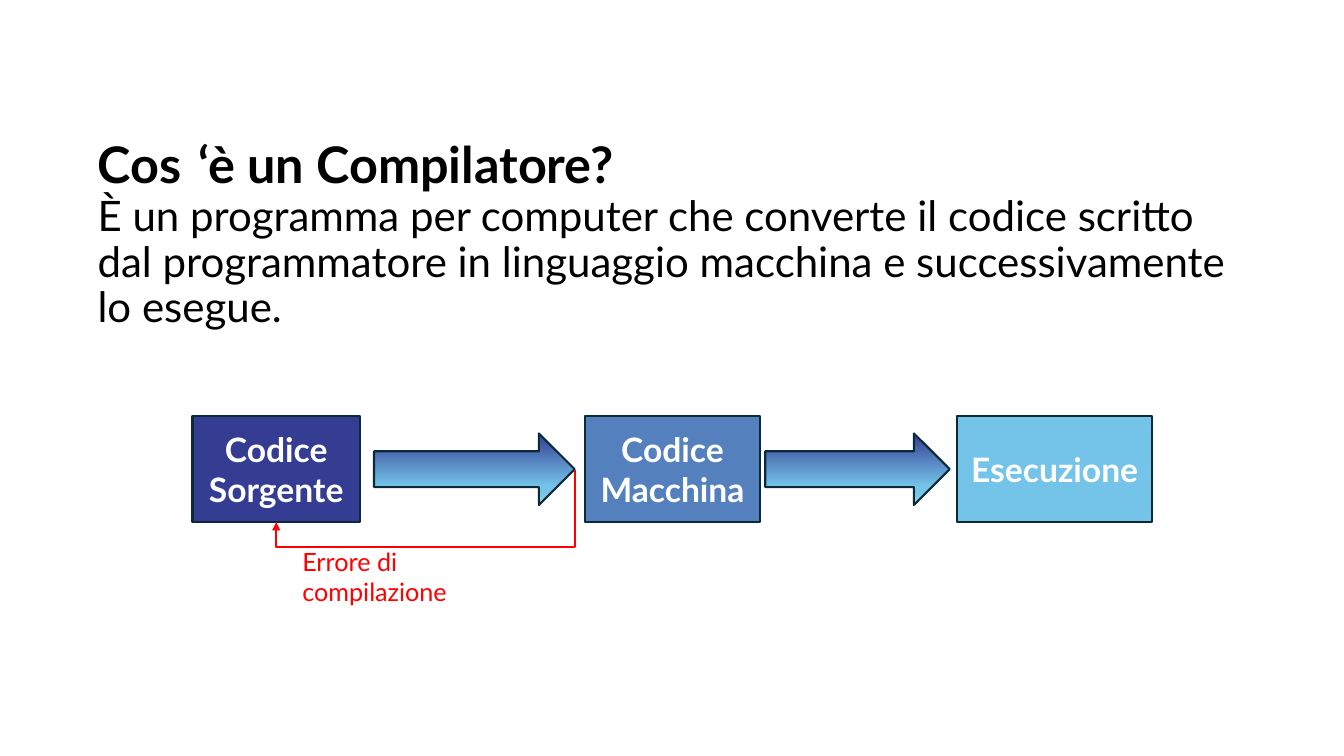
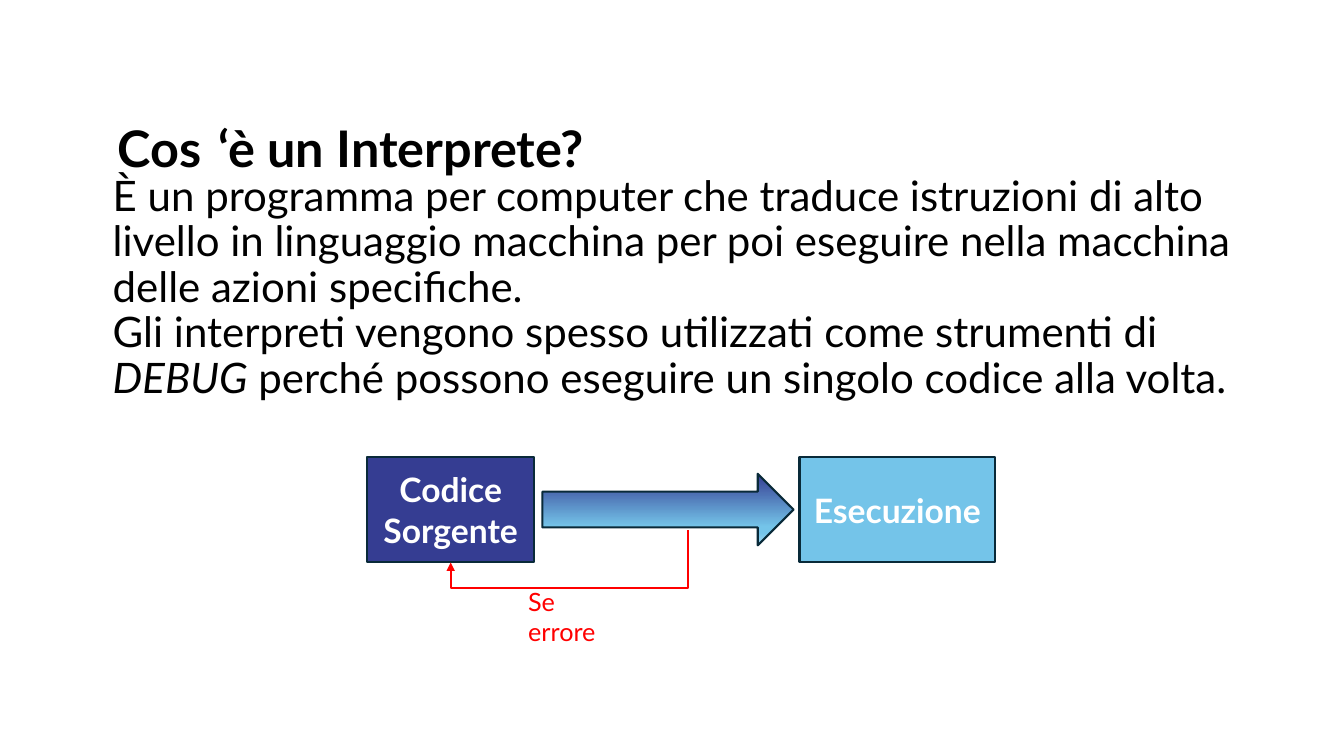
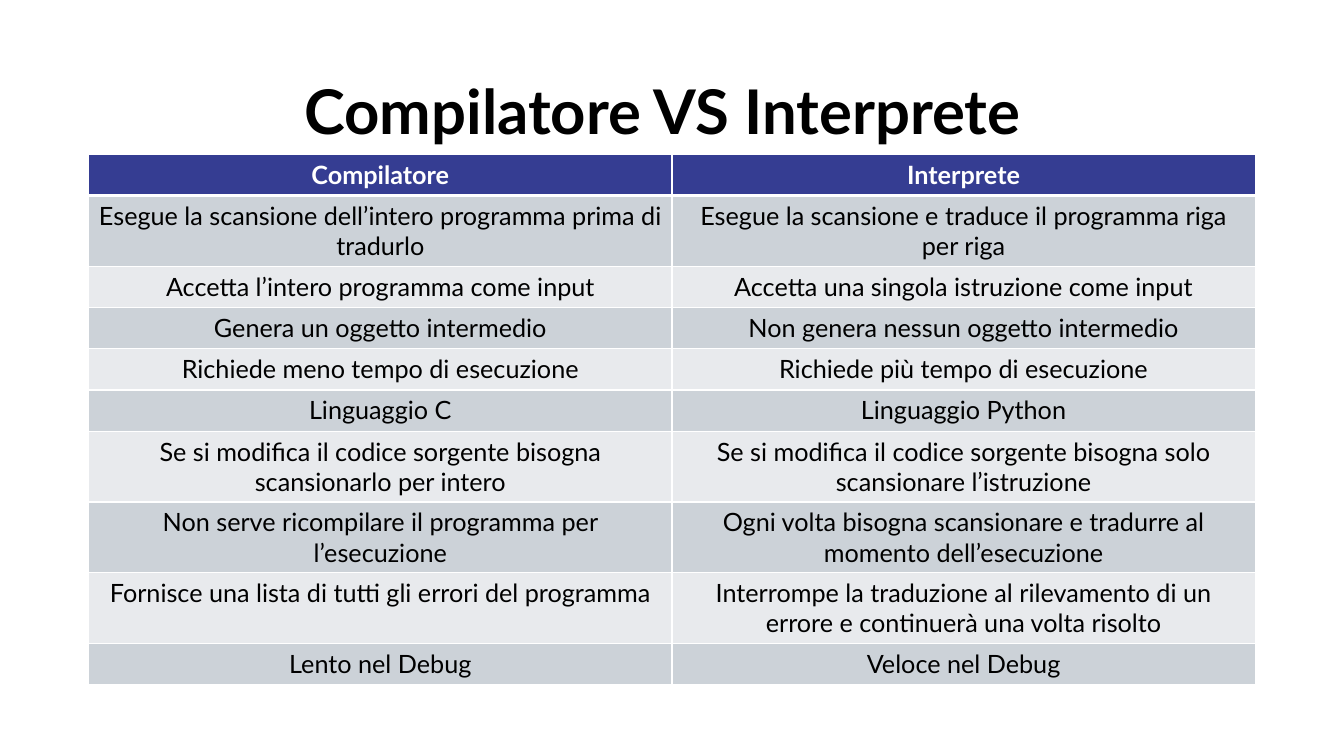
from dataclasses import dataclass

from lxml.etree import SubElement
from pptx import Presentation
from pptx.dml.color import RGBColor
from pptx.enum.shapes import MSO_CONNECTOR, MSO_SHAPE
from pptx.enum.text import MSO_ANCHOR, PP_ALIGN
from pptx.oxml import parse_xml
from pptx.oxml.ns import nsdecls, qn
from pptx.util import Inches, Pt


@dataclass(frozen=True)
class Theme:
    font: str = "Lato"
    black: str = "000000"
    white: str = "FFFFFF"
    navy: str = "353D92"
    blue: str = "5480BE"
    sky: str = "74C4E9"
    pale: str = "A2D8F0"
    outline: str = "092A39"
    red: str = "FF0000"
    band_dark: str = "CCD2D8"
    band_light: str = "E8EAED"
    big_title: int = 44
    title: int = 36
    body: int = 30
    box: int = 24
    small: int = 18
    line: float = 1.5


T = Theme()


def style_text(tf, size, color, bold=False, align=PP_ALIGN.LEFT, spacing=None):
    for p in tf.paragraphs:
        p.alignment = align
        p.line_spacing = spacing
        for r in p.runs:
            r.font.name, r.font.size, r.font.bold = T.font, Pt(size), bold
            r.font.color.rgb = RGBColor.from_string(color)


def add_text(s, box, parts, size, color=T.black, bold=False, anchor=MSO_ANCHOR.TOP, spacing=None):
    """Add a text box; every second part is italic."""
    tf = s.shapes.add_textbox(*map(Inches, box)).text_frame
    tf.word_wrap = True
    tf.vertical_anchor = anchor
    p = tf.paragraphs[0]
    p.text = parts[0]
    for i, part in enumerate(parts[1:], 1):
        r = p.add_run()
        r.text = part
        r.font.italic = i % 2 == 1
    style_text(tf, size, color, bold, spacing=spacing)


prs = Presentation()
prs.slide_width, prs.slide_height = Inches(13.33), Inches(7.5)
blank = prs.slide_layouts[6]

# Flow diagram parts: label, width, fill
SOURCE = ("Codice Sorgente", 1.66, T.navy)
MACHINE = ("Codice\nMacchina", 1.74, T.blue)
RUN = ("Esecuzione", 1.94, T.sky)
BOX_H, ARROW_H, LOOP_DROP = 1.05, 0.71, 0.25
STOPS = [(0, T.navy), (74, T.sky), (83, T.sky), (100, T.pale)]

flow_slides = [
    dict(
        title=(0.87, 0.93, "Cos\t‘è un Compilatore?"),
        body=(0.87, 1.89, 1.63, [
            "È un programma per computer che converte il codice scritto dal "
            "programmatore in linguaggio macchina e successivamente lo esegue."]),
        top=4.13,
        boxes=[(1.91, SOURCE), (5.8, MACHINE), (9.49, RUN)],
        arrows=[(3.71, 1.99), (7.59, 1.83)],
        loop_start=(5.7, 4.66),
        error=(2.9, 5.37, 2.4, "Errore di compilazione"),
    ),
    dict(
        title=(1.07, 0.77, "Cos\t‘è un Interprete?"),
        body=(1.02, 1.69, 1.96, [
            "È un programma per computer che traduce istruzioni di alto livello in "
            "linguaggio macchina per poi eseguire nella macchina delle azioni "
            "specifiche.\vGli interpreti vengono spesso utilizzati come strumenti di ",
            "DEBUG",
            " perché possono eseguire un singolo codice alla volta."]),
        top=4.53,
        boxes=[(3.64, SOURCE), (7.93, RUN)],
        arrows=[(5.38, 2.49)],
        loop_start=(6.82, 5.26),
        error=(5.14, 5.77, 1.1, "Se errore"),
    ),
]

# Slides 1 and 2: definition and flow diagram
for flow in flow_slides:
    s = prs.slides.add_slide(blank)
    x, y, title = flow["title"]
    add_text(s, (x, y, 11.5, 1.45), [title], T.title, bold=True,
             anchor=MSO_ANCHOR.MIDDLE, spacing=0.9)
    x, y, h, parts = flow["body"]
    add_text(s, (x, y, 11.5, h), parts, T.body, spacing=0.9)

    # Boxes and arrows share one centre line
    top = flow["top"]
    outlined, boxes = [], []
    for x, (label, w, fill) in flow["boxes"]:
        box = s.shapes.add_shape(MSO_SHAPE.RECTANGLE, Inches(x), Inches(top), Inches(w), Inches(BOX_H))
        box.fill.solid()
        box.fill.fore_color.rgb = RGBColor.from_string(fill)
        tf = box.text_frame
        tf.text = label
        tf.word_wrap = True
        tf.vertical_anchor = MSO_ANCHOR.MIDDLE
        style_text(tf, T.box, T.white, True, PP_ALIGN.CENTER)
        boxes.append(box)
    for x, w in flow["arrows"]:
        arrow = s.shapes.add_shape(MSO_SHAPE.RIGHT_ARROW, Inches(x), Inches(top + (BOX_H - ARROW_H) / 2),
                                   Inches(w), Inches(ARROW_H))
        stops = "".join(f'<a:gs pos="{pos * 1000}"><a:srgbClr val="{c}"/></a:gs>' for pos, c in STOPS)
        arrow.element.spPr.find(qn("a:prstGeom")).addnext(parse_xml(
            f'<a:gradFill {nsdecls("a")}><a:gsLst>{stops}</a:gsLst>'
            '<a:lin ang="5400000" scaled="0"/></a:gradFill>'))
        outlined.append(arrow)
    for sp in boxes + outlined:
        sp.line.color.rgb = RGBColor.from_string(T.outline)
        sp.line.width = Pt(T.line)
        sp.shadow.inherit = False

    # Error loop back to the source code
    x, y = flow["loop_start"]
    loop = s.shapes.add_connector(MSO_CONNECTOR.ELBOW, Inches(x), Inches(y), Inches(x - 1), Inches(y + 1))
    loop.end_connect(boxes[0], 2)
    loop.line.color.rgb = RGBColor.from_string(T.red)
    loop.line.width = Pt(T.line)
    spPr = loop.element.spPr
    geom = spPr.find(qn("a:prstGeom"))
    geom.set("prst", "bentConnector4")
    drop = 1 + LOOP_DROP / (top + BOX_H - y)
    for name, value in (("adj1", 0), ("adj2", drop)):
        SubElement(geom.find(qn("a:avLst")), qn("a:gd"), name=name, fmla=f"val {round(value * 100000)}")
    SubElement(spPr.find(qn("a:ln")), qn("a:tailEnd"), type="triangle")
    SubElement(spPr, qn("a:effectLst"))
    x, y, w, label = flow["error"]
    add_text(s, (x, y, w, 0.7), [label], T.small, T.red)

# Slide 3: comparison table
s = prs.slides.add_slide(blank)
add_text(s, (2.92, 0.41, 7.5, 1.45), ["Compilatore VS Interprete"], T.big_title, bold=True,
         anchor=MSO_ANCHOR.MIDDLE, spacing=0.9)
rows = [
    ("Compilatore", "Interprete"),
    ("Esegue la scansione dell’intero programma prima di tradurlo",
     "Esegue la scansione e traduce il programma riga per riga"),
    ("Accetta l’intero programma come input", "Accetta una singola istruzione come input"),
    ("Genera un oggetto intermedio", "Non genera nessun oggetto intermedio"),
    ("Richiede meno tempo di esecuzione", "Richiede più tempo di esecuzione"),
    ("Linguaggio C", "Linguaggio Python"),
    ("Se si modifica il codice sorgente bisogna scansionarlo per intero",
     "Se si modifica il codice sorgente bisogna solo scansionare l’istruzione"),
    ("Non serve ricompilare il programma per l’esecuzione",
     "Ogni volta bisogna scansionare e tradurre al momento dell’esecuzione"),
    ("Fornisce una lista di tutti gli errori del programma",
     "Interrompe la traduzione al rilevamento di un errore e continuerà una volta risolto"),
    ("Lento nel Debug", "Veloce nel Debug"),
]
ROW_H = 0.41
table = s.shapes.add_table(len(rows), 2, Inches(0.88), Inches(1.53), Inches(11.57),
                           Inches(ROW_H * len(rows))).table
for i, row in enumerate(rows):
    header = i == 0
    fill = T.navy if header else (T.band_dark if i % 2 else T.band_light)
    widths = {"lnL": 1, "lnR": 1, "lnT": 3 if i == 1 else 1, "lnB": 3 if header else 1}
    for j, text in enumerate(row):
        cell = table.cell(i, j)
        cell.text = text
        style_text(cell.text_frame, T.small, T.white if header else T.black, header, PP_ALIGN.CENTER)
        tcPr = cell._tc.get_or_add_tcPr()
        for side, width in widths.items():
            tcPr.append(parse_xml(
                f'<a:{side} {nsdecls("a")} w="{Pt(width)}"><a:solidFill>'
                f'<a:srgbClr val="{T.white}"/></a:solidFill></a:{side}>'))
        cell.fill.solid()
        cell.fill.fore_color.rgb = RGBColor.from_string(fill)

prs.save("out.pptx")
